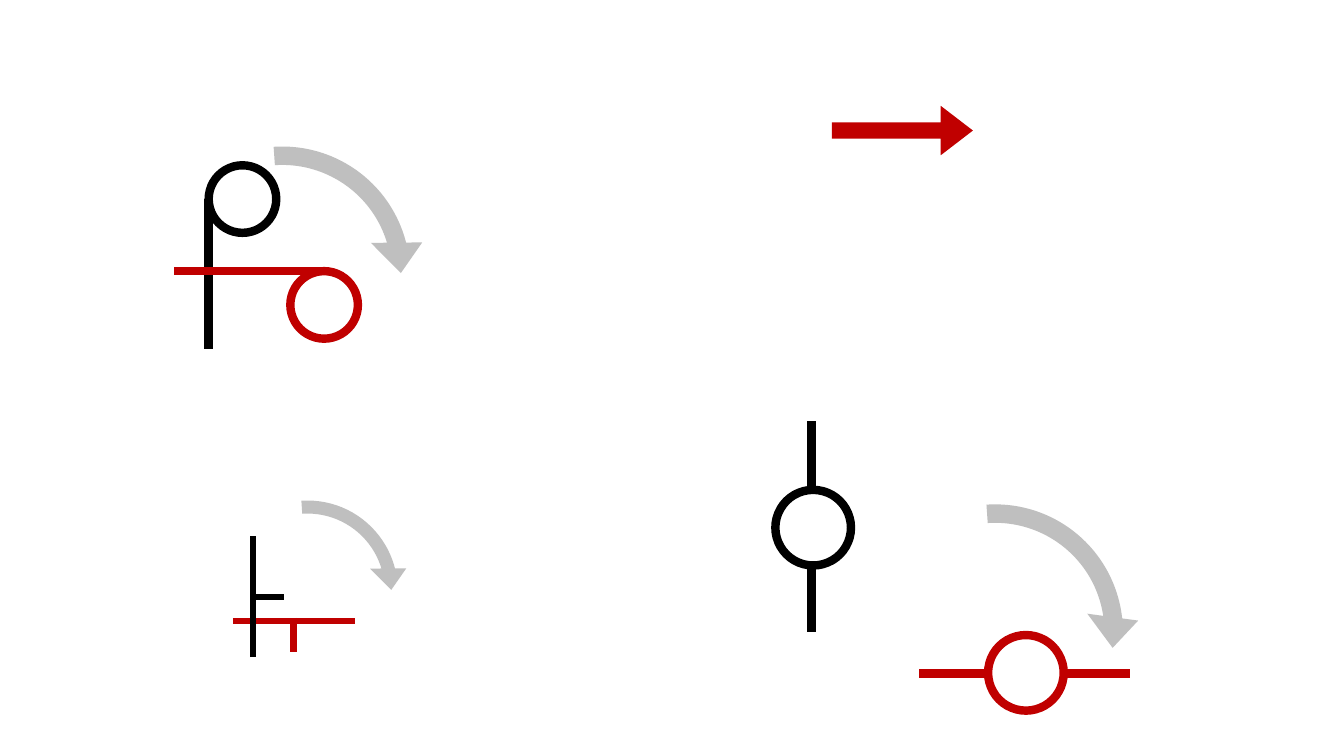
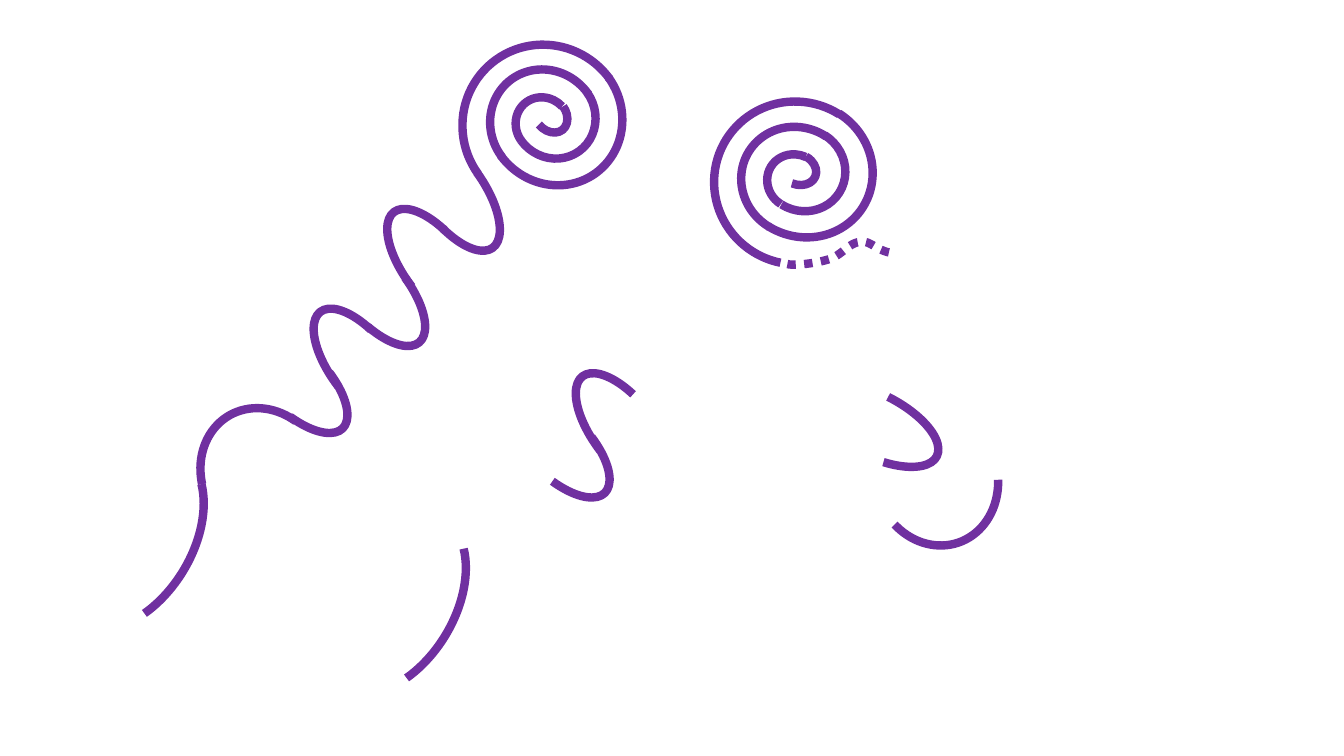
"""Builds two slides of line symbols: rotated marks with arrows, and spirals with waves."""
import pptx
import pptx.util
import pptx.dml.color
import pptx.enum.dml
import pptx.enum.shapes
import pptx.oxml.ns
import lxml.etree
from dataclasses import dataclass

Inches = pptx.util.Inches
SHAPE = pptx.enum.shapes.MSO_SHAPE


@dataclass(frozen=True)
class Theme:
    black: str = "000000"
    red: str = "C00000"
    grey: str = "BFBFBF"
    purple: str = "7030A0"
    thick: float = 6
    thin: float = 4.5


theme = Theme()
ADJ_PER_DEGREE = 0.6


def add_shape(shapes, kind, box, rotation=0, adjustments=(), fill=None, line=None):
    sp = shapes.add_shape(kind, *[Inches(v) for v in box])
    sp.shadow.inherit = False
    sp.rotation = rotation
    for i, value in enumerate(adjustments):
        sp.adjustments[i] = value
    if fill:
        sp.fill.solid()
        sp.fill.fore_color.rgb = pptx.dml.color.RGBColor.from_string(fill)
    else:
        sp.fill.background()
    if line:
        sp.line.color.rgb = pptx.dml.color.RGBColor.from_string(line)
        sp.line.width = pptx.util.Pt(theme.thick)
    else:
        sp.line.fill.background()
    return sp


def add_line(shapes, ends, color, width):
    line = shapes.add_connector(pptx.enum.shapes.MSO_CONNECTOR.STRAIGHT, *[Inches(v) for v in ends])
    line.line.color.rgb = pptx.dml.color.RGBColor.from_string(color)
    line.line.width = pptx.util.Pt(width)
    lxml.etree.SubElement(line._element.spPr, pptx.oxml.ns.qn("a:effectLst"))
    return line


prs = pptx.Presentation()
prs.slide_width, prs.slide_height = Inches(13.33), Inches(7.5)
blank = prs.slide_layouts[6]

s = prs.slides.add_slide(blank)
add_shape(s.shapes, SHAPE.RIGHT_ARROW, (8.25, 1.05, 1.4, 0.49), 0, (0.333, 0.651), theme.red)

# left, top, size, end angle
turn_arrows = [
    (8.44, 4.84, 2.86, 172.77),
    (2.04, 4.85, 2.02, 164.55),
    (1.37, 1.29, 2.86, 164.55),
]
for left, top, size, end in turn_arrows:
    angles = [a * ADJ_PER_DEGREE for a in (14.9, end, 86.09)]
    add_shape(s.shapes, SHAPE.CIRCULAR_ARROW, (left, top, size, size), 180,
              (0.064, *angles, 0.089), theme.grey)

# colour, line width, circle (left, top, diameter), strokes
symbols = [
    (theme.black, theme.thick, (2.07, 1.64, 0.67), [(2.07, 1.97, 2.07, 3.46)]),
    (theme.red, theme.thick, (2.88, 2.69, 0.67), [(3.22, 2.69, 1.73, 2.69)]),
    (theme.red, theme.thin, None, [(2.31, 6.16, 3.52, 6.16), (2.91, 6.13, 2.91, 6.47)]),
    (theme.black, theme.thin, None, [(2.51, 6.52, 2.51, 5.32), (2.49, 5.92, 2.82, 5.92)]),
    (theme.red, theme.thick, (9.8, 6.3, 0.75), [(9.12, 6.68, 9.78, 6.68), (10.54, 6.68, 11.21, 6.68)]),
    (theme.black, theme.thick, (7.69, 4.86, 0.75), [(8.05, 4.18, 8.05, 4.84), (8.05, 5.61, 8.05, 6.27)]),
]
for color, width, circle, strokes in symbols:
    group = s.shapes.add_group_shape()
    if circle:
        left, top, size = circle
        add_shape(group.shapes, SHAPE.OVAL, (left, top, size, size), line=color)
    for ends in strokes:
        add_line(group.shapes, ends, color, width)

s = prs.slides.add_slide(blank)
wave = (0.62, 1.39)
hook = (1.22, 1.39)
tail = (1.99, 1.28)

# left, top, (width, height), rotation, start angle, end angle
coil = [
    (4.84, 0.46, (1.32, 1.39), 144.3, 180, 0),
    (5.09, 0.73, (0.81, 0.85), 144.3, 180, 0),
    (5.31, 0.95, (0.3, 0.38), 140.8, 184.7, 0),
    (4.59, 0.44, (1.61, 1.63), 324.3, 180, 0),
    (5.12, 0.96, (0.53, 0.56), 324.3, 180, 351.68),
    (4.87, 0.68, (1.06, 1.11), 324.3, 178.23, 1.48),
    (4.17, 1.2, wave, 144.3, 180, 319.42),
    (4.02, 1.96, wave, 322.5, 180, 319.42),
    (3.4, 2.17, wave, 139.9, 200.5, 319.42),
    (2.01, 4.03, hook, 330.7, 201.98, 329.24),
]
repeated = [
    (3.29, 2.95, wave, 322.5, 180, 319.42),
    (2.6, 3.06, wave, 135.4, 214.94, 319.42),
    (0.27, 4.7, tail, 121.8, 201.98, 315.55),
]
loose = [
    (7.31, 0.99, (1.32, 1.39), 122.1, 180, 0),
    (7.56, 1.26, (0.81, 0.85), 122.1, 180, 0),
    (7.76, 1.49, (0.3, 0.38), 111.9, 191.13, 0),
    (7.09, 1, (1.61, 1.63), 302.1, 158.89, 0),
    (7.62, 1.52, (0.53, 0.56), 302.1, 180, 351.68),
    (7.37, 1.24, (1.06, 1.11), 302.1, 178.23, 1.48),
    (8.36, 3.52, wave, 116.6, 180, 319.42),
    (8.67, 4.03, hook, 161.2, 201.98, 329.24),
]
loose += [(left + 2.6, top + 0.64, *rest) for left, top, *rest in repeated]

group = s.shapes.add_group_shape()
for shapes, arcs in ((group.shapes, coil + repeated), (s.shapes, loose)):
    for left, top, size, rotation, start, end in arcs:
        add_shape(shapes, SHAPE.ARC, (left, top, *size), rotation,
                  (start * ADJ_PER_DEGREE, end * ADJ_PER_DEGREE), line=theme.purple)

curve = [(7.81, 2.62), (7.88, 2.64), (8.11, 2.61), (8.23, 2.57), (8.35, 2.53),
         (8.42, 2.41), (8.53, 2.4), (8.63, 2.38), (8.68, 2.48), (8.84, 2.51)]
steps = 12
points = [[Inches(v) for v in curve[0]]]
for i in range(0, len(curve) - 1, 3):
    for step in range(1, steps + 1):
        t = step / steps
        weights = ((1 - t) ** 3, 3 * t * (1 - t) ** 2, 3 * t ** 2 * (1 - t), t ** 3)
        points.append([Inches(sum(w * p[axis] for w, p in zip(weights, curve[i:i + 4]))) for axis in (0, 1)])
builder = s.shapes.build_freeform(*points[0])
builder.add_line_segments(points[1:], close=False)
sp = builder.convert_to_shape()
sp.shadow.inherit = False
sp.fill.background()
sp.line.color.rgb = pptx.dml.color.RGBColor.from_string(theme.purple)
sp.line.width = pptx.util.Pt(theme.thick)
sp.line.dash_style = pptx.enum.dml.MSO_LINE.ROUND_DOT

prs.save("out.pptx")
